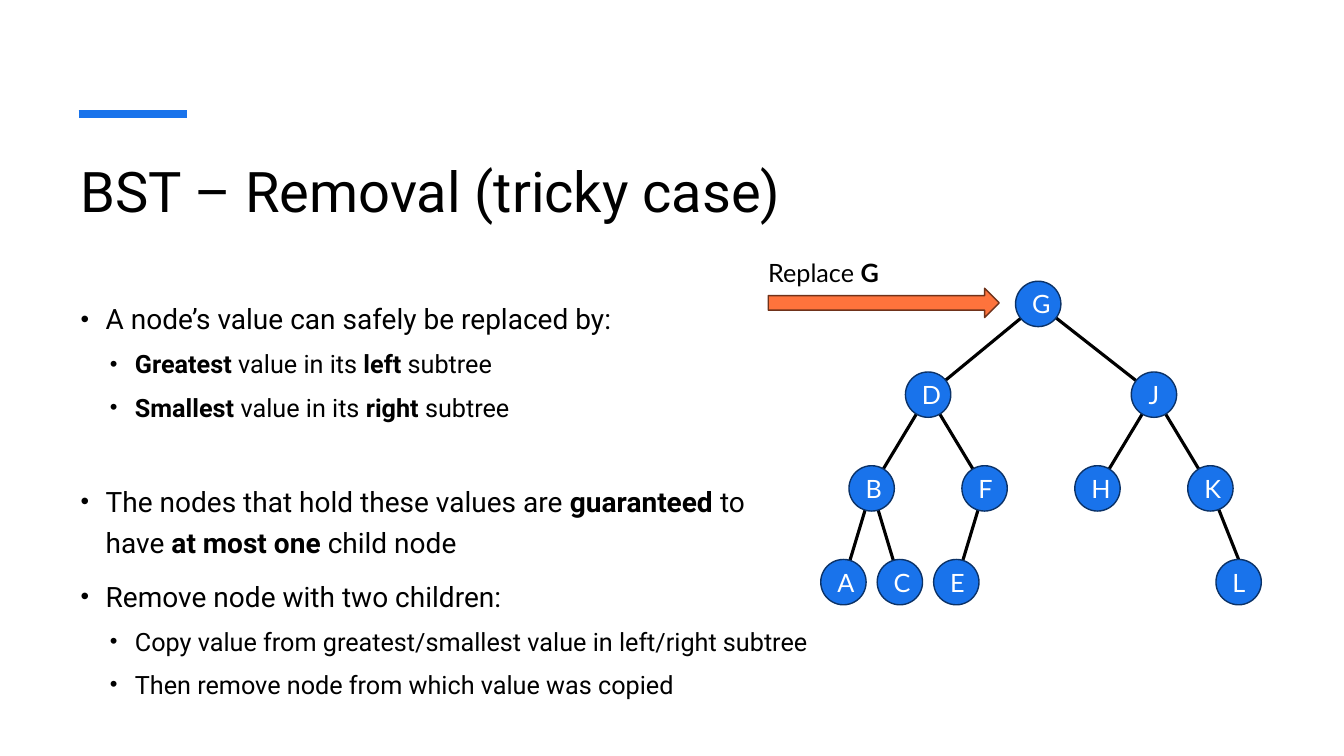
from lxml import etree
from pptx import Presentation
from pptx.dml.color import RGBColor
from pptx.enum.shapes import MSO_CONNECTOR, MSO_SHAPE
from pptx.enum.text import MSO_ANCHOR, MSO_AUTO_SIZE, PP_ALIGN
from pptx.oxml.ns import qn
from pptx.util import Inches, Pt

# Content: ** marks bold text, a newline is a line break
TITLE = "BST – Removal (tricky case)"
BULLETS = [  # level, space before in points, text
    (0, 10, "A node’s value can safely be replaced by:"),
    (1, 5, "**Greatest **value in its **left **subtree"),
    (1, 5, "**Smallest **value in its **right **subtree"),
    (0, 40, "The nodes that hold these values are **guaranteed **to \nhave **at most one **child node"),
    (0, 10, "Remove node with two children:"),
    (1, 5, "Copy value from greatest/smallest value in left/right subtree"),
    (1, 5, "Then remove node from which value was copied"),
]
ARROW_LABEL = "Replace **G**"
NODES = {  # column, row
    "G": (6.9, 0),
    "D": (3, 1), "J": (11, 1),
    "B": (1, 2), "F": (5, 2), "H": (9, 2), "K": (13, 2),
    "A": (0, 3), "C": (2, 3), "E": (4, 3), "L": (14, 3),
}
EDGES = ["GD", "GJ", "DB", "DF", "JH", "JK", "BA", "BC", "FE", "KL"]

# Tree grid and style
TREE_LEFT, COLUMN_STEP, NODE_SIZE = 8.14, 0.28, 0.45
ROW_TOPS = [2.79, 3.69, 4.62, 5.55]
LEVELS = [(20, 0.25), (18, 0.54)]  # text size, left margin
HANGING = 0.25
BLACK, WHITE, BLUE, NAVY = "000000", "FFFFFF", "1973EB", "0B3267"
ORANGE, BROWN = "FE733C", "6F321A"


def color(value):
    return RGBColor.from_string(value)


def set_font(para, size, name, value=BLACK):
    para.font.size = Pt(size)
    para.font.name = name
    para.font.color.rgb = color(value)


def add_marked_text(para, text):
    for index, part in enumerate(text.split("**")):
        for number, line in enumerate(part.split("\n")):
            if number:
                para.add_line_break()
            if line:
                span = para.add_run()
                span.text = line
                if index % 2:
                    span.font.bold = True


def add_bullet(para, margin):
    props = para._p.get_or_add_pPr()
    props.set("marL", str(Inches(margin)))
    props.set("indent", str(-Inches(HANGING)))
    defaults = props.find(qn("a:defRPr"))
    for tag, key, value in (("a:buSzPct", "val", "87000"),
                            ("a:buFont", "typeface", "Arial"),
                            ("a:buChar", "char", "•")):
        item = etree.Element(qn(tag))
        item.set(key, value)
        defaults.addprevious(item)


def add_text_box(page, left, top, width, height):
    box = page.shapes.add_textbox(*map(Inches, (left, top, width, height)))
    box.text_frame.word_wrap = True
    return box.text_frame


def add_line(page, start, end, value, width):
    line = page.shapes.add_connector(
        MSO_CONNECTOR.STRAIGHT, *map(Inches, (*start, *end)))
    line.line.color.rgb = color(value)
    line.line.width = Pt(width)
    etree.SubElement(line._element.spPr, qn("a:effectLst"))


def add_shape(page, kind, place, fill, outline):
    shape = page.shapes.add_shape(kind, *map(Inches, place))
    shape.shadow.inherit = False
    shape.fill.solid()
    shape.fill.fore_color.rgb = color(fill)
    shape.line.color.rgb = color(outline)
    shape.line.width = Pt(1)
    return shape


def node_corner(letter):
    column, row = NODES[letter]
    return TREE_LEFT + column * COLUMN_STEP, ROW_TOPS[row]


def node_center(letter):
    left, top = node_corner(letter)
    return left + NODE_SIZE / 2, top + NODE_SIZE / 2


def add_tree(page):
    for parent, child in EDGES:
        x, y = node_center(child)
        if child == "L":  # this edge stops at the top of its node
            y -= NODE_SIZE / 2
        add_line(page, node_center(parent), (x, y), BLACK, 2.25)
    for letter in NODES:
        place = (*node_corner(letter), NODE_SIZE, NODE_SIZE)
        node = add_shape(page, MSO_SHAPE.OVAL, place, BLUE, NAVY)
        node.text_frame.vertical_anchor = MSO_ANCHOR.MIDDLE
        para = node.text_frame.paragraphs[0]
        para.text = letter
        para.alignment = PP_ALIGN.CENTER
        set_font(para, 18, "Lato", WHITE)


def main():
    deck = Presentation()
    deck.slide_width, deck.slide_height = Inches(13.33), Inches(7.5)
    page = deck.slides.add_slide(deck.slide_layouts[6])

    # Accent bar and title
    add_line(page, (0.78, 1.13), (1.85, 1.13), BLUE, 6)
    title = add_text_box(page, 0.7, 1.5, 8.09, 1.2).paragraphs[0]
    title.text = TITLE
    set_font(title, 40, "Roboto")

    # Bullet list
    body = add_text_box(page, 0.7, 2.88, 7.49, 4.5)
    for index, (level, gap, text) in enumerate(BULLETS):
        para = body.add_paragraph() if index else body.paragraphs[0]
        size, margin = LEVELS[level]
        para.level = level
        para.line_spacing = 1.2
        para.space_before = Pt(gap)
        set_font(para, size, "Roboto")
        add_bullet(para, margin)
        add_marked_text(para, text)

    # Tree with the arrow to its root
    add_tree(page)
    add_shape(page, MSO_SHAPE.RIGHT_ARROW, (7.62, 2.86, 2.29, 0.29), ORANGE, BROWN)
    label = add_text_box(page, 7.52, 2.5, 1.32, 0.4)
    label.word_wrap = False
    label.auto_size = MSO_AUTO_SIZE.SHAPE_TO_FIT_TEXT
    set_font(label.paragraphs[0], 18, "Lato")
    add_marked_text(label.paragraphs[0], ARROW_LABEL)

    deck.save("out.pptx")


if __name__ == "__main__":
    main()
